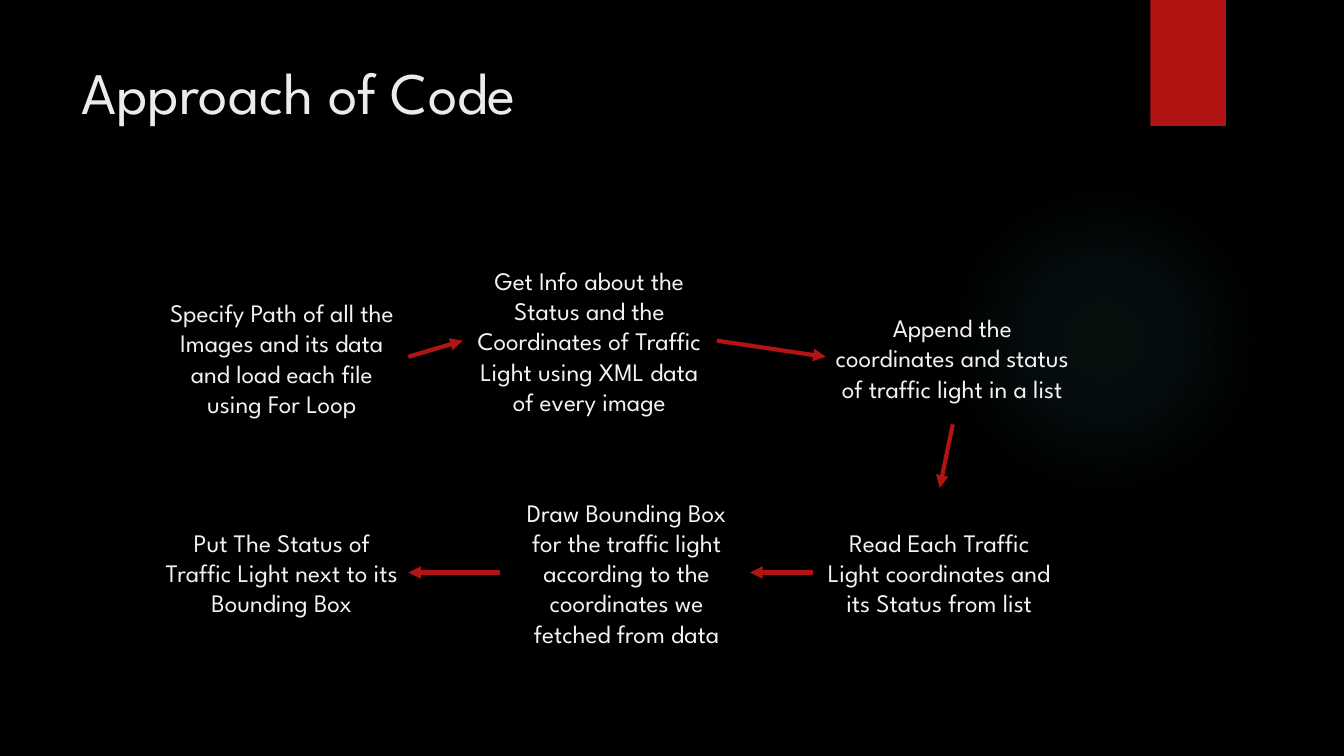
from pptx import Presentation
from pptx.dml.color import RGBColor
from pptx.enum.shapes import MSO_CONNECTOR, MSO_SHAPE
from pptx.enum.text import MSO_ANCHOR, PP_ALIGN
from pptx.oxml import parse_xml
from pptx.oxml.ns import nsdecls
from pptx.util import Inches, Pt
from lxml import etree

RECT, OVAL = MSO_SHAPE.RECTANGLE, MSO_SHAPE.OVAL
STRAIGHT = MSO_CONNECTOR.STRAIGHT
TOP, MIDDLE = MSO_ANCHOR.TOP, MSO_ANCHOR.MIDDLE
LEFT, CENTER = PP_ALIGN.LEFT, PP_ALIGN.CENTER

FONT = "League Spartan"
COLORS = {"bg": "000000", "red": "B01513", "glow": "50B9C1",
          "title": "EBEBEB", "text": "F2F2F2"}

TITLE = "Approach of Code"
STEP_W, STEP_H = 2.51, 1.68
ROW_1, ROW_2 = 2.71, 4.84
STEPS = [
    (1.54, ROW_1, "Specify Path of all the Images and its data and load each file using For Loop"),
    (4.59, 2.54, "Get Info about the Status and the Coordinates of Traffic Light "
                 "using XML data of every image"),
    (8.19, ROW_1, "Append the coordinates and status of traffic light in a list"),
    (8.06, ROW_2, "Read Each Traffic Light coordinates and its Status from list"),
    (4.96, ROW_2, "Draw Bounding Box for the traffic light according to the "
                  "coordinates we fetched from data"),
    (1.54, ROW_2, "Put The Status of Traffic Light next to its Bounding Box"),
]
MID_2 = ROW_2 + STEP_H / 2
ARROWS = [
    (4.05, 3.54, 4.59, 3.38),
    (7.11, 3.38, 8.19, 3.54),
    (9.45, 4.21, 9.32, ROW_2),
    (8.06, MID_2, 7.44, MID_2),
    (4.96, MID_2, 4.05, MID_2),
]
GLOW_STOPS = [(0, 7), (36, 6), (69, 0)]


def rgb(name):
    return RGBColor.from_string(COLORS[name])


def inches(*values):
    return [Inches(v) for v in values]


def write(sp, text, size, color, align, anchor):
    tf = sp.text_frame
    for name, value in {"word_wrap": True, "vertical_anchor": anchor}.items():
        setattr(tf, name, value)
    p = tf.paragraphs[0]
    p.alignment = align
    r = p.add_run()
    r.text = text
    for name, value in {"name": FONT, "size": Pt(size), "bold": False}.items():
        setattr(r.font, name, value)
    r.font.color.rgb = rgb(color)


def add_plain(shapes, kind, *box):
    sp = shapes.add_shape(kind, *inches(*box))
    sp.shadow.inherit = False
    sp.line.fill.background()
    return sp


def add_glow(shapes):
    sp = add_plain(shapes, OVAL, 9.41, 1.83, 3.08, 3.08)
    stops = "".join(
        f'<a:gs pos="{pos * 1000}"><a:srgbClr val="{COLORS["glow"]}">'
        f'<a:alpha val="{alpha * 1000}"/></a:srgbClr></a:gs>'
        for pos, alpha in GLOW_STOPS)
    grad = parse_xml(
        f'<a:gradFill {nsdecls("a")}><a:gsLst>{stops}</a:gsLst><a:path path="circle">'
        '<a:fillToRect l="50000" t="50000" r="50000" b="50000"/></a:path></a:gradFill>')
    sp.fill.background()
    pr = sp._element.spPr
    pr.replace(pr.find("a:noFill", pr.nsmap), grad)


def add_arrow(shapes, *ends):
    c = shapes.add_connector(STRAIGHT, *inches(*ends))
    c.line.color.rgb = rgb("red")
    c.line.width = Pt(3)
    ln = c.line._get_or_add_ln()
    ns = ln.nsmap["a"]
    etree.SubElement(ln, f"{{{ns}}}tailEnd", type="triangle")
    etree.SubElement(c._element.spPr, f"{{{ns}}}effectLst")


prs = Presentation()
prs.slide_width, prs.slide_height = inches(13.33, 7.5)
s = prs.slides.add_slide(prs.slide_layouts[5])
s.background.fill.solid()
s.background.fill.fore_color.rgb = rgb("bg")

add_glow(s.shapes)
ribbon = add_plain(s.shapes, RECT, 11.41, 0, 0.75, 1.25)
ribbon.fill.solid()
ribbon.fill.fore_color.rgb = rgb("red")

title = s.shapes.title
title.left, title.top, title.width, title.height = inches(0.71, 0.5, 10.29, 1.53)
write(title, TITLE, 42, "title", LEFT, TOP)

for x, y, text in STEPS:
    sp = s.shapes.add_textbox(*inches(x, y, STEP_W, STEP_H))
    write(sp, text, 18, "text", CENTER, MIDDLE)

for ends in ARROWS:
    add_arrow(s.shapes, *ends)

prs.save("out.pptx")
